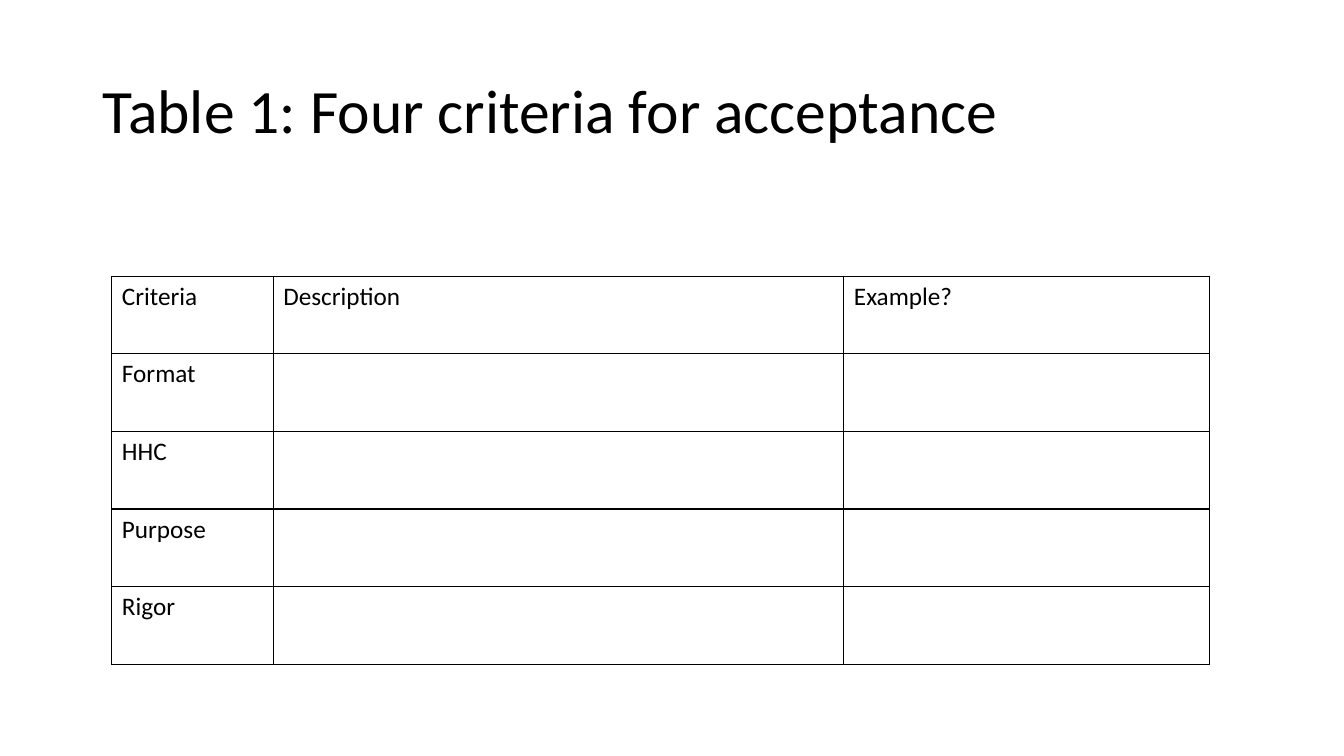
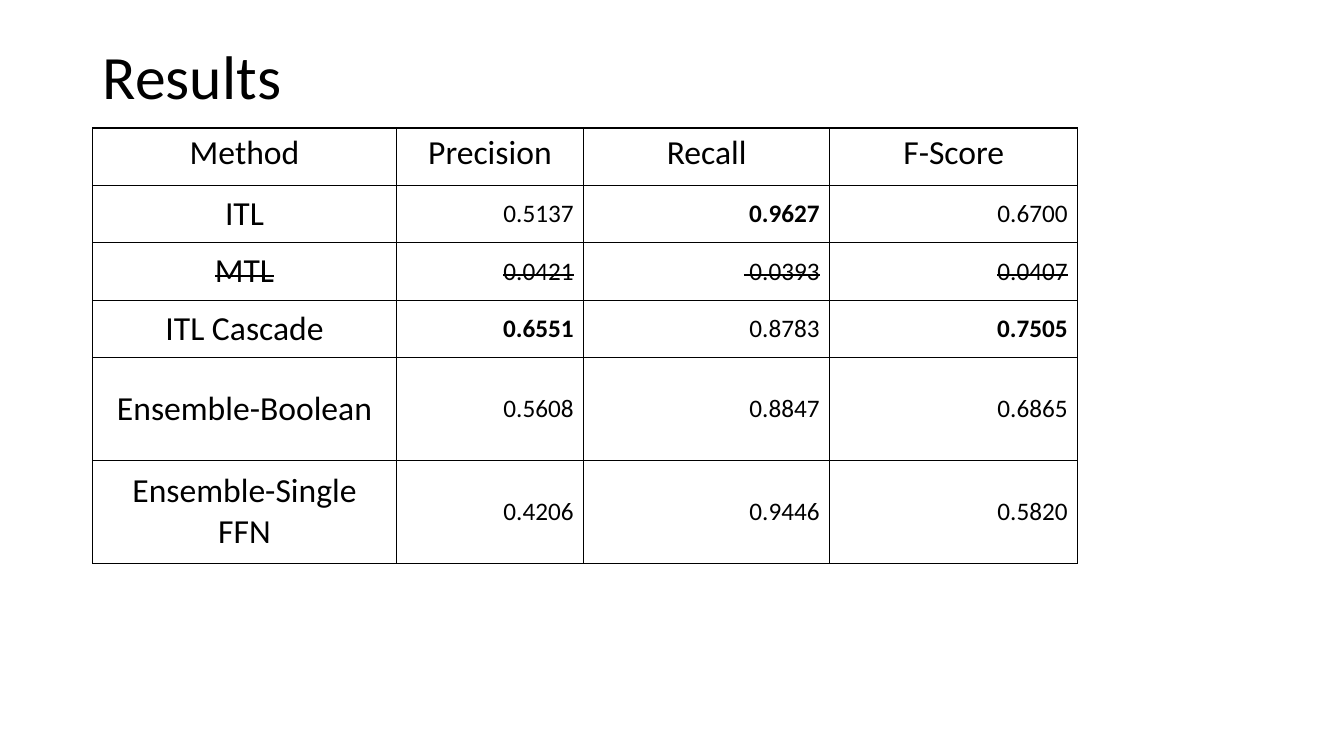
from lxml.etree import SubElement
from pptx import Presentation
from pptx.dml.color import RGBColor
from pptx.enum.text import MSO_ANCHOR, MSO_AUTO_SIZE, PP_ALIGN
from pptx.oxml.ns import qn
from pptx.util import Emu, Pt

PX = 9144
COLORS = {"ink": "000000", "paper": "FFFFFF"}
FONT = "Calibri"
TITLE_FORMAT = {"size": Pt(44)}
HEAD_FORMAT = {"size": Pt(24)}
VALUE_FORMAT = {"size": Pt(18)}

CRITERIA = ["Format", "HHC", "Purpose", "Rigor"]
RESULTS = [
    ("ITL", "0.5137", "0.9627", "0.6700"),
    ("MTL", "0.0421", " 0.0393", "0.0407"),
    ("ITL Cascade", "0.6551", "0.8783", "0.7505"),
    ("Ensemble-Boolean", "0.5608", "0.8847", "0.6865"),
    ("Ensemble-Single FFN", "0.4206", "0.9446", "0.5820"),
]
BEST_SCORES = {"0.9627", "0.6551", "0.7505"}
STRUCK_METHOD = "MTL"


def px(length):
    """Turn whole pixels into EMU."""
    return Emu(length * PX)


def color(name):
    """Return a named colour of the palette."""
    return RGBColor.from_string(COLORS[name])


class SlideBuilder:
    """Hold the shared style and the current slide."""

    def __init__(self, width, height):
        """Start an empty deck."""
        self.deck = Presentation()
        self.deck.slide_width, self.deck.slide_height = px(width), px(height)
        self.page = None

    def add_text(self, para, text, formats, align=PP_ALIGN.LEFT, strike=False):
        """Add one formatted run to a paragraph."""
        para.alignment = align
        span = para.add_run()
        span.text = text
        for name, value in {"name": FONT, "bold": False, **formats}.items():
            setattr(span.font, name, value)
        span.font.color.rgb = color("ink")
        if strike:
            span.font._element.set("strike", "sngStrike")

    def add_page(self, title, height):
        """Add a titled page with a title band of the given height."""
        self.page = self.deck.slides.add_slide(self.deck.slide_layouts[5])
        box = self.page.shapes.title
        place = {"left": 92, "top": 40, "width": 1150, "height": height}
        for name, value in place.items():
            setattr(box, name, px(value))
        frame = box.text_frame
        frame.word_wrap = True
        frame.auto_size = MSO_AUTO_SIZE.NONE
        frame.vertical_anchor = MSO_ANCHOR.MIDDLE
        para = frame.paragraphs[0]
        para.line_spacing = 0.9
        self.add_text(para, title, TITLE_FORMAT)

    def add_table(self, left, top, widths, heights):
        """Add a plain ruled table and return it."""
        table = self.page.shapes.add_table(
            len(heights), len(widths), px(left), px(top),
            px(sum(widths)), px(sum(heights))).table
        table.first_row = table.horz_banding = False
        for column, width in zip(table.columns, widths):
            column.width = px(width)
        for row, height in zip(table.rows, heights):
            row.height = px(height)
        for cell in table.iter_cells():
            self.rule_cell(cell)
        return table

    def rule_cell(self, cell):
        """Give a cell four thin borders and a plain fill."""
        properties = cell._tc.get_or_add_tcPr()
        for side in ("a:lnL", "a:lnR", "a:lnT", "a:lnB"):
            line = SubElement(properties, qn(side), w=str(Pt(1)))
            fill = SubElement(line, qn("a:solidFill"))
            SubElement(fill, qn("a:srgbClr"), val=COLORS["ink"])
        cell.fill.solid()
        cell.fill.fore_color.rgb = color("paper")

    def fill_cell(self, cell, text, formats, align=PP_ALIGN.LEFT,
                  anchor=MSO_ANCHOR.TOP, strike=False):
        """Place text in a table cell."""
        cell.vertical_anchor = anchor
        para = cell.text_frame.paragraphs[0]
        self.add_text(para, text, formats, align, strike)


def add_criteria(builder):
    """Build the page of acceptance criteria."""
    builder.add_page("Table 1: Four criteria for acceptance", 145)
    table = builder.add_table(111, 274, [160, 566, 363], [77] * 5)
    for column, text in enumerate(["Criteria", "Description", "Example?"]):
        builder.fill_cell(table.cell(0, column), text, VALUE_FORMAT)
    for row, text in enumerate(CRITERIA, 1):
        builder.fill_cell(table.cell(row, 0), text, VALUE_FORMAT)


def add_results(builder):
    """Build the page of scores by method."""
    builder.add_page("Results", 77)
    table = builder.add_table(92, 127, [301, 186, 244, 246],
                              [57] * 4 + [102] * 2)
    for column, text in enumerate(["Method", "Precision", "Recall", "F-Score"]):
        builder.fill_cell(table.cell(0, column), text, HEAD_FORMAT,
                          PP_ALIGN.CENTER)
    for row, (method, *scores) in enumerate(RESULTS, 1):
        strike = method == STRUCK_METHOD
        builder.fill_cell(table.cell(row, 0), method, HEAD_FORMAT,
                          PP_ALIGN.CENTER, MSO_ANCHOR.MIDDLE, strike)
        for column, score in enumerate(scores, 1):
            formats = {**VALUE_FORMAT, "bold": score in BEST_SCORES}
            builder.fill_cell(table.cell(row, column), score, formats,
                              PP_ALIGN.RIGHT, MSO_ANCHOR.MIDDLE, strike)


def main():
    """Build and save the deck."""
    builder = SlideBuilder(1333, 750)
    add_criteria(builder)
    add_results(builder)
    builder.deck.save("out.pptx")


if __name__ == "__main__":
    main()
